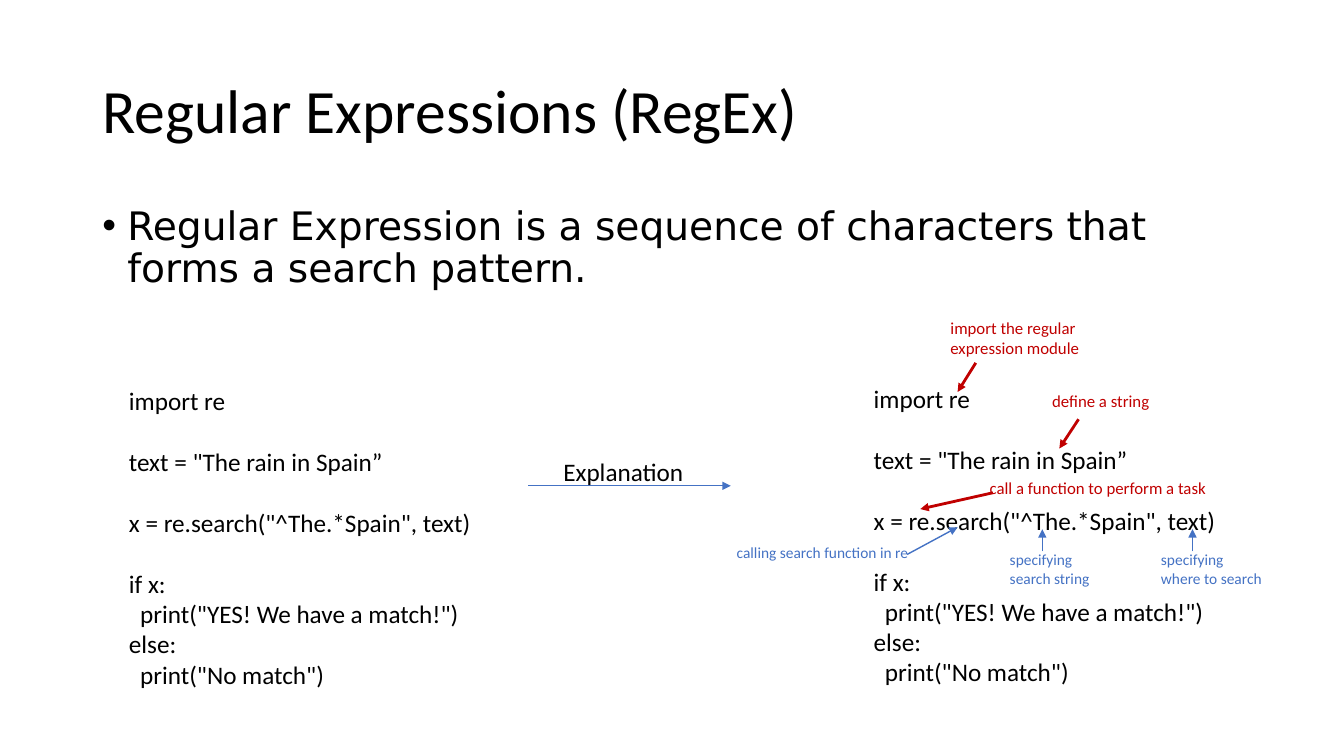
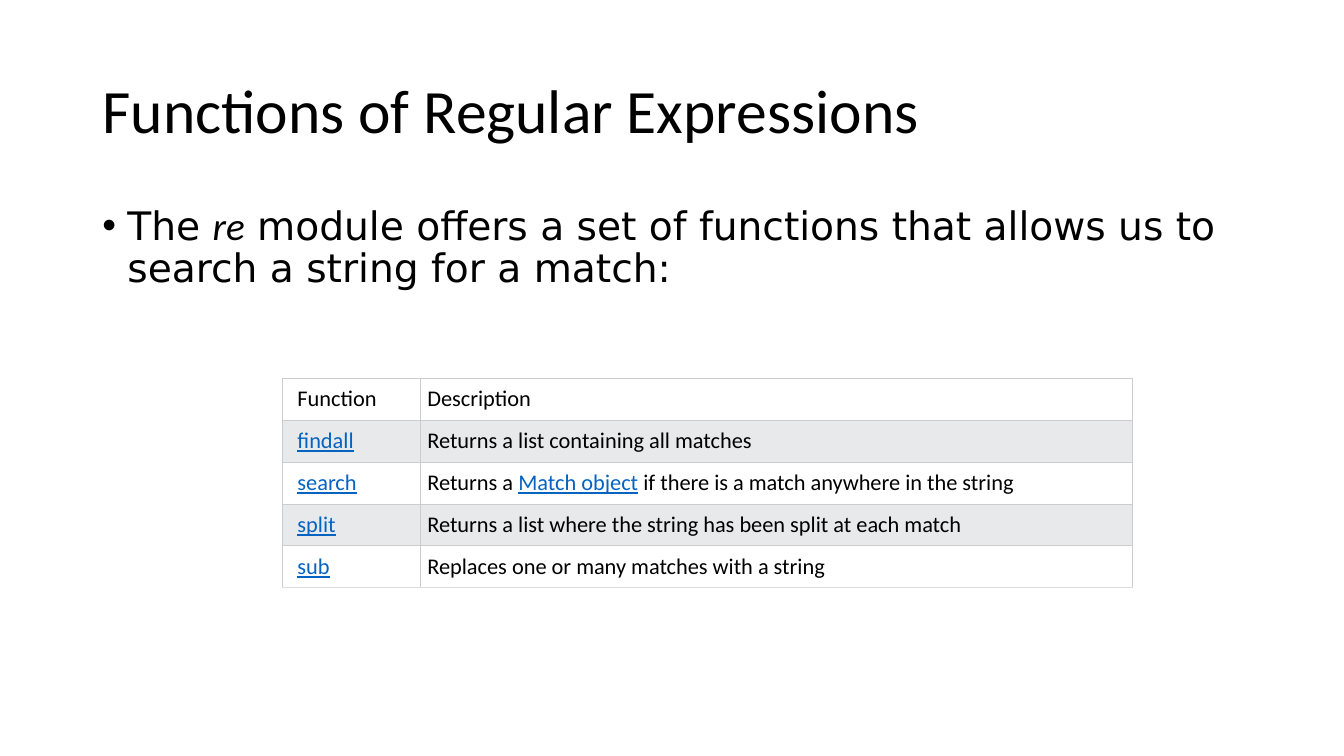
import pptx
import pptx.dml.color
import pptx.enum.shapes
import pptx.enum.text
import pptx.oxml
import pptx.oxml.ns
import pptx.util
from lxml import etree

Pt = pptx.util.Pt
RGB = pptx.dml.color.RGBColor.from_string
qn = pptx.oxml.ns.qn

COLORS = {
    "text": "000000", "red": "C00000", "blue": "4472C4", "link": "0563C1",
    "plain_row": "FFFFFF", "shaded_row": "E7E9EB",
    "border": "CCCCCC", "last_border": "DDDDDD",
}
TEXT_FONT = "Calibri"
BODY_FONT = "DejaVu Sans"
CODE_LINE = 22


def add_label(slide, box, lines, size, color="text", wrap=True):
    left, top, width, height = box
    frame = slide.shapes.add_textbox(Pt(left), Pt(top), Pt(width), Pt(height)).text_frame
    frame.word_wrap = wrap
    frame.text = "\n".join(lines)
    for paragraph in frame.paragraphs:
        for run in paragraph.runs:
            run.font.name = TEXT_FONT
            run.font.size = Pt(size)
            run.font.color.rgb = RGB(COLORS[color])
    return frame


def add_arrow(slide, start, end, color, weight):
    arrow = slide.shapes.add_connector(
        pptx.enum.shapes.MSO_CONNECTOR.STRAIGHT, *[Pt(v) for v in (*start, *end)])
    arrow.line.color.rgb = RGB(COLORS[color])
    arrow.line.width = Pt(weight)
    etree.SubElement(arrow.line._get_or_add_ln(), qn("a:tailEnd"), type="triangle")
    etree.SubElement(arrow._element.spPr, qn("a:effectLst"))


deck = pptx.Presentation()
deck.slide_width, deck.slide_height = Pt(960), Pt(540)

# Title and bullet of each slide
openings = [
    ("Regular Expressions (RegEx)",
     [("Regular Expression is a sequence of characters that forms a search pattern.", False)]),
    ("Functions of Regular Expressions",
     [("The ", False), ("re", True),
      (" module offers a set of functions that allows us to search a string for a match:", False)]),
]
slides = []
for heading, bullet_parts in openings:
    slide = deck.slides.add_slide(deck.slide_layouts[5])
    slides.append(slide)
    title = slide.shapes.title
    title.left, title.top, title.width, title.height = Pt(66), Pt(28.75), Pt(828), Pt(104.4)
    title.text_frame.text = heading
    title.text_frame.vertical_anchor = pptx.enum.text.MSO_ANCHOR.MIDDLE
    title_line = title.text_frame.paragraphs[0]
    title_line.alignment = pptx.enum.text.PP_ALIGN.LEFT
    title_line.line_spacing = 0.9
    title_font = title_line.runs[0].font
    title_font.name, title_font.size = TEXT_FONT, Pt(44)
    title_font.color.rgb = RGB(COLORS["text"])

    body = slide.shapes.add_textbox(Pt(66), Pt(143.75), Pt(828), Pt(342.6)).text_frame
    body.word_wrap = True
    bullet = body.paragraphs[0]
    bullet.line_spacing = 0.9
    bullet.space_before = Pt(10)
    for text, is_code in bullet_parts:
        run = bullet.add_run()
        run.text = text
        run.font.name = TEXT_FONT if is_code else BODY_FONT
        run.font.italic = is_code
        run.font.size = Pt(28)
        run.font.color.rgb = RGB(COLORS["text"])
    bullet_format = bullet._p.get_or_add_pPr()
    bullet_format.set("marL", str(Pt(18)))
    bullet_format.set("indent", str(-Pt(18)))
    etree.SubElement(bullet_format, qn("a:buFont"), typeface="Arial")
    etree.SubElement(bullet_format, qn("a:buChar"), char="•")

regex_slide, functions_slide = slides

# Code sample, plain and explained: (line, starts a new block, indented)
code = [
    ("import re", False, False),
    ('text = "The rain in Spain”', True, False),
    ('x = re.search("^The.*Spain", text)', True, False),
    ("if x:", True, False),
    ('print("YES! We have a match!")', False, True),
    ("else:", False, False),
    ('print("No match")', False, True),
]
for left, top in [(85, 271.5), (617, 270)]:
    sample = add_label(regex_slide, (left, top, 286.5, 225.4), [line for line, _, _ in code], 18)
    for paragraph, (_, new_block, indented) in zip(sample.paragraphs, code):
        if new_block:
            paragraph.space_before = Pt(CODE_LINE)
        if indented:
            paragraph._p.get_or_add_pPr().set("marL", str(Pt(8)))

add_arrow(regex_slide, (377.3, 347), (522, 347), "blue", 0.5)
add_label(regex_slide, (395.3, 322.6, 101.5, 29), ["Explanation"], 18, wrap=False)

# Explanations: box, lines, size, colour, wrap, arrow start, arrow end, arrow weight
red, blue = (12, "red", True), (11, "blue", False)
notes = [
    ((671.8, 223.2, 136.8, 36), ["import the regular expression module"], red,
     (697, 259.2), (684, 280), 2),
    ((744.5, 275.8, 136.8, 21.6), ["define a string"], red,
     (770.4, 299.5), (756.7, 320.4), 2),
    ((699.8, 337.7, 175, 21.6), ["call a function to perform a task"], red,
     (709.2, 352), (657.4, 363.6), 2),
    ((519.1, 384.5, 138.2, 20.9), ["calling search function in re"], blue,
     (648, 396), (684, 376.6), 1),
    ((714.2, 389.5, 72, 33.8), ["specifying", "search string"], blue,
     (744.5, 393.8), (744.5, 378), 1),
    ((822.2, 389.5, 87.1, 33.8), ["specifying", "where to search"], blue,
     (851.8, 393.8), (851.8, 378), 1),
]
for box, lines, (size, color, wrap), start, end, weight in notes:
    add_label(regex_slide, box, lines, size, color, wrap)
    add_arrow(regex_slide, start, end, color, weight)

# Table of functions; each cell is a list of (text, shown as link)
function_rows = [
    ([("Function", False)], [("Description", False)]),
    ([("findall", True)], [("Returns a list containing all matches", False)]),
    ([("search", True)], [("Returns a ", False), ("Match object", True),
                          (" if there is a match anywhere in the string", False)]),
    ([("split", True)],
     [("Returns a list where the string has been split at each match", False)]),
    ([("sub", True)], [("Replaces one or many matches with a string", False)]),
]
row_height = 30
column_widths = [98, 509]
functions = functions_slide.shapes.add_table(
    len(function_rows), len(column_widths), Pt(202), Pt(270),
    Pt(sum(column_widths)), Pt(row_height * len(function_rows))).table
functions.first_row = functions.horz_banding = False
for column, width in zip(functions.columns, column_widths):
    column.width = Pt(width)
for r, row in enumerate(function_rows):
    functions.rows[r].height = Pt(row_height)
    for c, parts in enumerate(row):
        cell = functions.cell(r, c)
        cell.margin_left = Pt(5.25 if c else 10.5)
        cell.margin_right = cell.margin_top = cell.margin_bottom = Pt(5.25)
        cell.fill.solid()
        cell.fill.fore_color.rgb = RGB(COLORS["shaded_row" if r % 2 else "plain_row"])
        for text, is_link in parts:
            run = cell.text_frame.paragraphs[0].add_run()
            run.text = text
            run.font.name, run.font.size = TEXT_FONT, Pt(16)
            run.font.underline = is_link
            run.font.color.rgb = RGB(COLORS["link" if is_link else "text"])
        cell_format = cell._tc.get_or_add_tcPr()
        for position, side in enumerate("LRTB"):
            is_last = side == "B" and r == len(function_rows) - 1
            edge = etree.Element(qn(f"a:ln{side}"), w=str(Pt(0.75)))
            edge_fill = etree.SubElement(edge, qn("a:solidFill"))
            etree.SubElement(edge_fill, qn("a:srgbClr"),
                             val=COLORS["last_border" if is_last else "border"])
            cell_format.insert(position, edge)

deck.save("out.pptx")
